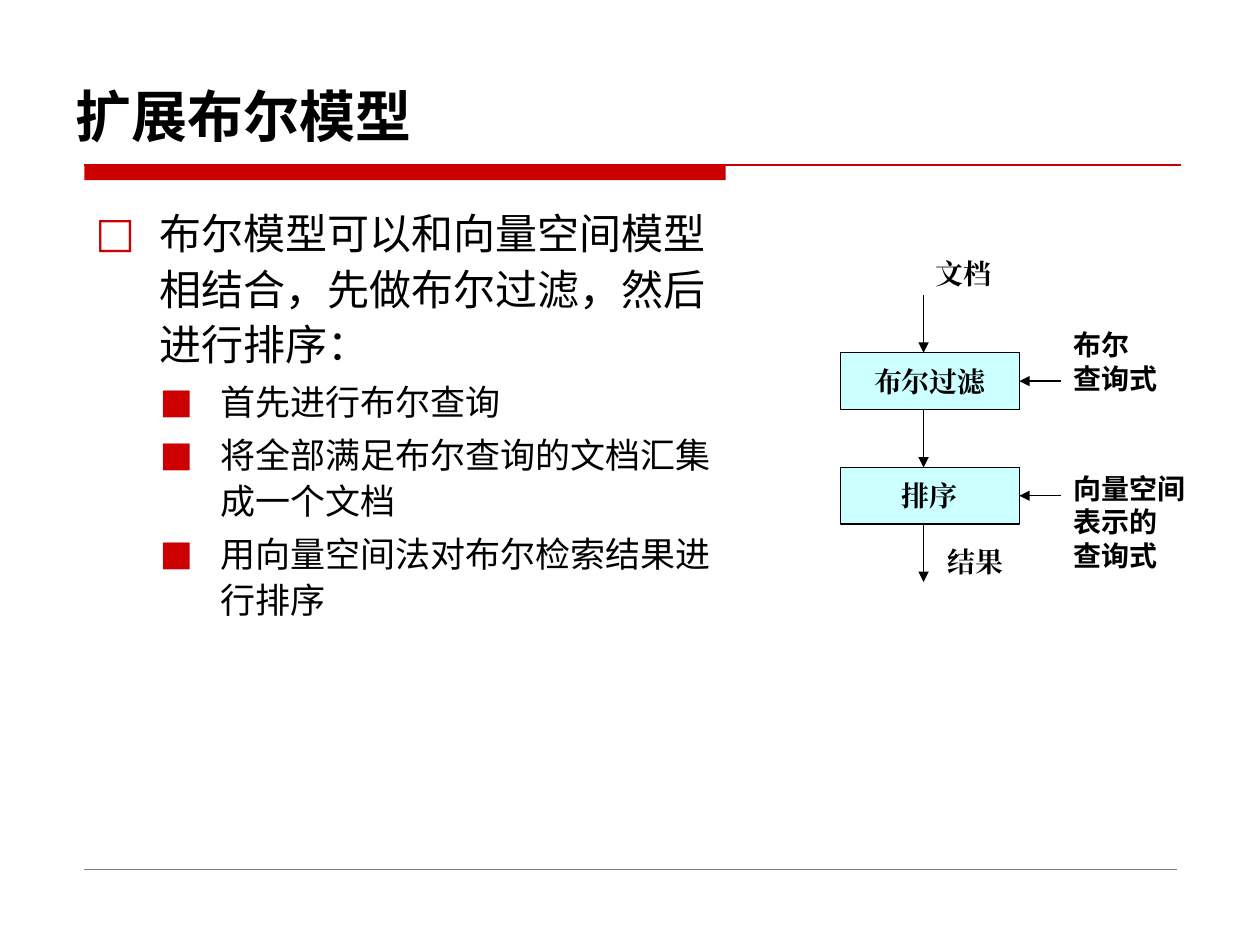
from dataclasses import dataclass

from lxml.etree import SubElement
from pptx import Presentation
from pptx.dml.color import RGBColor
from pptx.enum.shapes import MSO_CONNECTOR as Connector, MSO_SHAPE as Preset
from pptx.enum.text import MSO_ANCHOR as Anchor, PP_ALIGN as Align
from pptx.oxml.ns import qn
from pptx.util import Inches, Pt


@dataclass(frozen=True)
class Theme:
    accent: str = "CC0000"
    box_fill: str = "CCFFFF"
    ink: str = "000000"
    footer: str = "808080"
    title_font: str = "Noto Sans CJK SC"
    body_font: str = "DejaVu Sans"
    flow_font: str = "Times New Roman"
    query_font: str = "Arial Narrow"
    title_size: int = 32
    flow_size: int = 16


@dataclass(frozen=True)
class Level:
    size: int
    margin: float
    hanging: float
    bullet: str
    space_before: float


@dataclass(frozen=True)
class Label:
    lines: tuple[str, ...]
    left: float
    top: float
    width: float
    height: float
    font: str


THEME = Theme()
LEVELS = (Level(24, 0.51, 0.51, "□", 4.8), Level(20, 0.99, 0.48, "■", 4))
BODY = (
    (0, "布尔模型可以和向量空间模型相结合，先做布尔过滤，然后进行排序："),
    (1, "首先进行布尔查询"),
    (1, "将全部满足布尔查询的文档汇集成一个文档"),
    (1, "用向量空间法对布尔检索结果进行排序"),
)
STEPS = ("布尔过滤", "排序")
LABELS = (
    Label(("文档",), 7.33, 1.99, 0.65, 0.37, THEME.flow_font),
    Label(("结果",), 7.42, 4.27, 0.65, 0.37, THEME.flow_font),
    Label(("布尔", "查询式"), 8.42, 2.55, 0.87, 0.64, THEME.query_font),
    Label(("向量空间", "表示的", "查询式"), 8.42, 3.69, 1.09, 0.9, THEME.query_font),
)
BOX_LEFT, BOX_TOP, BOX_WIDTH, BOX_HEIGHT = 6.67, 2.8, 1.42, 0.45
STEP_PITCH = 0.91
FLOW_X = 7.33


def color(value: str) -> RGBColor:
    return RGBColor.from_string(value)


def add_run(paragraph, text: str, size: int, font: str, bold: bool = False) -> None:
    run = paragraph.add_run()
    run.text = text
    run.font.size = Pt(size)
    run.font.name = font
    run.font.bold = bold
    run.font.color.rgb = color(THEME.ink)
    SubElement(run._r.get_or_add_rPr(), qn("a:ea"), typeface=font)


def next_paragraph(frame, index: int):
    return frame.add_paragraph() if index else frame.paragraphs[0]


def add_text_frame(slide, left: float, top: float, width: float, height: float, wrap: bool = True):
    box = slide.shapes.add_textbox(Inches(left), Inches(top), Inches(width), Inches(height))
    box.text_frame.word_wrap = wrap
    return box.text_frame


def add_rectangle(slide, left: float, top: float, width: float, height: float, fill: str):
    shape = slide.shapes.add_shape(
        Preset.RECTANGLE, Inches(left), Inches(top), Inches(width), Inches(height))
    shape.shadow.inherit = False
    shape.fill.solid()
    shape.fill.fore_color.rgb = color(fill)
    return shape


def add_line(slide, start: tuple[float, float], end: tuple[float, float],
             line_color: str, width: float = 0.75, arrow: bool = False) -> None:
    line = slide.shapes.add_connector(
        Connector.STRAIGHT, *(Inches(value) for value in start + end))
    line.line.color.rgb = color(line_color)
    line.line.width = Pt(width)
    if arrow:
        SubElement(line.line._get_or_add_ln(), qn("a:tailEnd"), type="triangle")
    SubElement(line._element.spPr, qn("a:effectLst"))


def add_title(slide) -> None:
    frame = add_text_frame(slide, 0.5, 0.49, 8.79, 0.74)
    frame.vertical_anchor = Anchor.BOTTOM
    add_run(frame.paragraphs[0], "扩展布尔模型", THEME.title_size, THEME.title_font, True)


def add_rules(slide) -> None:
    """Draw the bar and line below the title, and the footer line."""
    bar = add_rectangle(slide, 0.67, 1.31, 5.09, 0.12, THEME.accent)
    bar.line.fill.background()
    add_line(slide, (0.67, 1.31), (9.37, 1.31), THEME.accent)
    add_line(slide, (0.67, 6.9), (9.34, 6.9), THEME.footer, 0.25)


def set_bullet(paragraph, level: Level) -> None:
    properties = paragraph._p.get_or_add_pPr()
    properties.set("marL", str(Inches(level.margin)))
    properties.set("indent", str(-Inches(level.hanging)))
    bullet_color = SubElement(properties, qn("a:buClr"))
    SubElement(bullet_color, qn("a:srgbClr"), val=THEME.accent)
    SubElement(properties, qn("a:buFont"), typeface=THEME.body_font)
    SubElement(properties, qn("a:buChar"), char=level.bullet)


def add_body(slide) -> None:
    frame = add_text_frame(slide, 0.66, 1.56, 5.36, 4.16)
    for index, (depth, text) in enumerate(BODY):
        level = LEVELS[depth]
        paragraph = next_paragraph(frame, index)
        paragraph.level = depth
        paragraph.line_spacing = 1.1
        paragraph.space_before = Pt(level.space_before)
        set_bullet(paragraph, level)
        add_run(paragraph, text, level.size, THEME.body_font)


def add_step(slide, text: str, top: float) -> None:
    """Draw a step box with the query arrow that enters from the right."""
    box = add_rectangle(slide, BOX_LEFT, top, BOX_WIDTH, BOX_HEIGHT, THEME.box_fill)
    box.line.color.rgb = color(THEME.ink)
    box.line.width = Pt(0.75)
    frame = box.text_frame
    frame.word_wrap = False
    frame.vertical_anchor = Anchor.MIDDLE
    frame.paragraphs[0].alignment = Align.CENTER
    add_run(frame.paragraphs[0], text, THEME.flow_size, THEME.flow_font, True)
    middle = top + BOX_HEIGHT / 2
    add_line(slide, (8.42, middle), (BOX_LEFT + BOX_WIDTH, middle), THEME.ink, arrow=True)


def add_label(slide, label: Label) -> None:
    frame = add_text_frame(slide, label.left, label.top, label.width, label.height, wrap=False)
    for index, text in enumerate(label.lines):
        add_run(next_paragraph(frame, index), text, THEME.flow_size, label.font, True)


def add_flow(slide) -> None:
    for index, text in enumerate(STEPS):
        add_step(slide, text, BOX_TOP + index * STEP_PITCH)
    for index in range(len(STEPS) + 1):
        end = BOX_TOP + index * STEP_PITCH
        start = end - STEP_PITCH + BOX_HEIGHT
        add_line(slide, (FLOW_X, start), (FLOW_X, end), THEME.ink, arrow=True)
    for label in LABELS:
        add_label(slide, label)


def main() -> None:
    presentation = Presentation()
    presentation.slide_width, presentation.slide_height = Inches(10), Inches(7.5)
    slide = presentation.slides.add_slide(presentation.slide_layouts[6])
    add_rules(slide)
    add_body(slide)
    add_flow(slide)
    add_title(slide)
    presentation.save("out.pptx")


if __name__ == "__main__":
    main()
